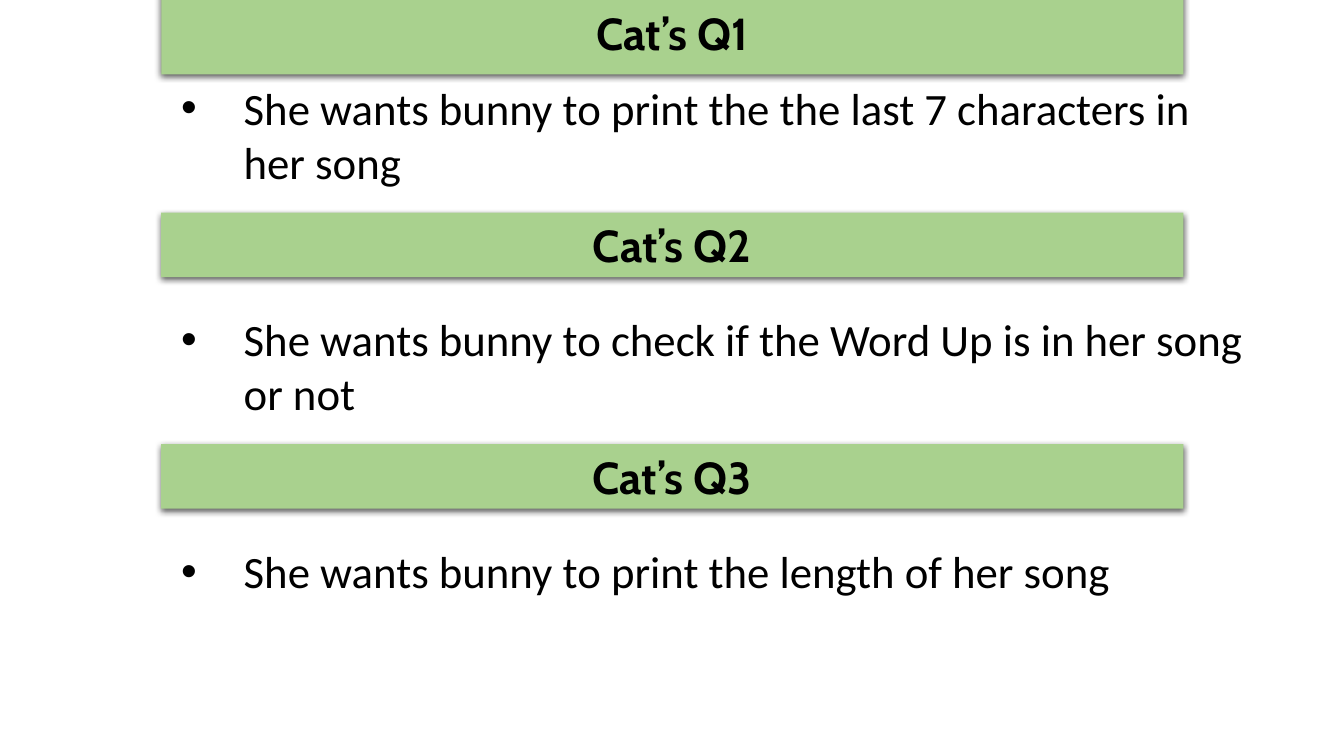
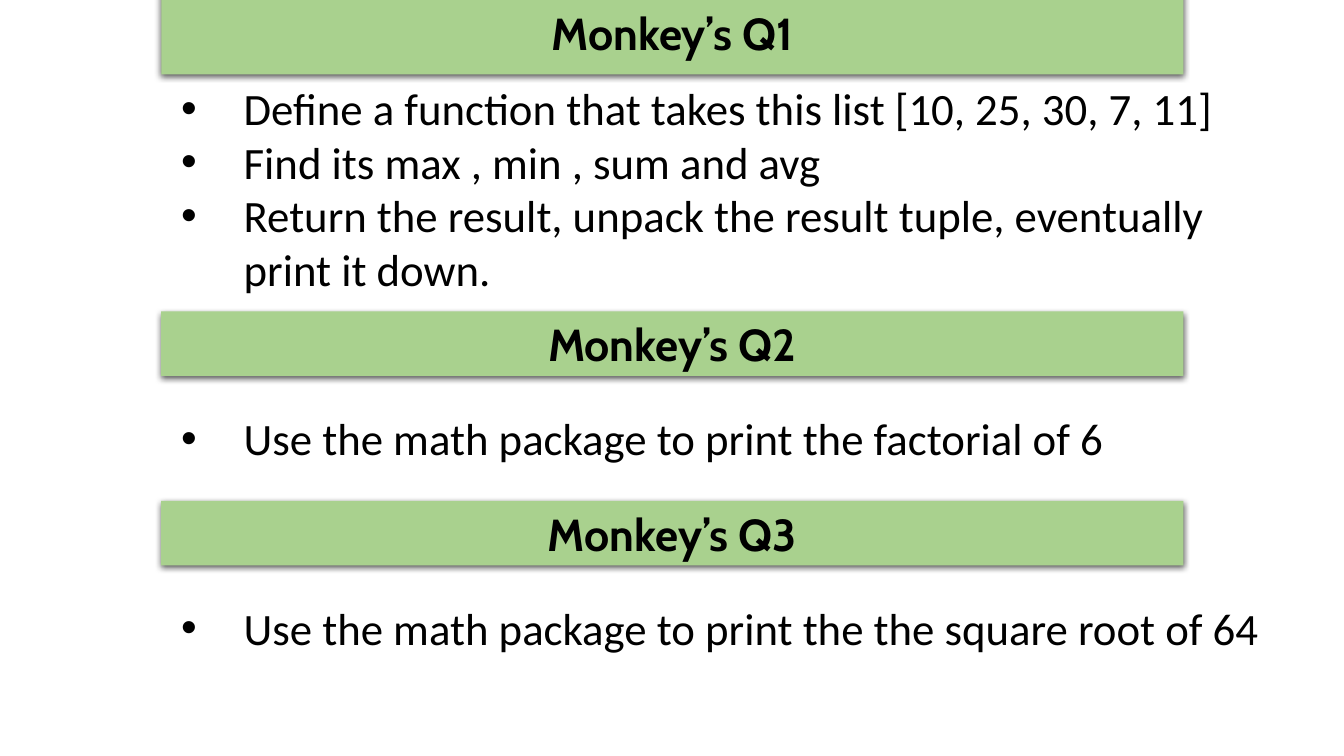
from lxml import etree
from pptx import Presentation
from pptx.dml.color import RGBColor
from pptx.enum.shapes import MSO_SHAPE
from pptx.enum.text import MSO_ANCHOR, MSO_AUTO_SIZE, PP_ALIGN
from pptx.oxml import parse_xml
from pptx.oxml.ns import nsdecls, qn
from pptx.util import Pt

BLACK = RGBColor(0, 0, 0)
GREEN = RGBColor(0xA9, 0xD1, 0x8E)
CENTER, LEFT = PP_ALIGN.CENTER, PP_ALIGN.LEFT
MIDDLE, TOP = MSO_ANCHOR.MIDDLE, MSO_ANCHOR.TOP
GROW = MSO_AUTO_SIZE.SHAPE_TO_FIT_TEXT
RECTANGLE = MSO_SHAPE.RECTANGLE
TITLE_ONLY = 5

BAND_LEFT, BAND_WIDTH, BAND_HEIGHT = 115.2, 730.1, 46.1
BODY_LEFT, BODY_WIDTH, LINE_HEIGHT = 51.8, 856.8, 39
TITLE_TO_BODY, BAND_TO_BODY = 54, 67.5
BULLET_MARGIN, BULLET_INDENT = Pt(115.2), Pt(-44.6)

SHADOW = f"""<a:outerShdw {nsdecls("a")} blurRad="{Pt(4.5)}" dist="{Pt(1.5)}"
 dir="5400000" algn="ctr" rotWithShape="0">
 <a:srgbClr val="{BLACK}"><a:alpha val="63000"/></a:srgbClr></a:outerShdw>"""

# Each question: top of its band, then its bullet points.
SLIDES = {
    "Cat": [
        (0, ["She wants bunny to print the the last 7 characters in her song"]),
        (151.9, ["She wants bunny to check if the Word Up is in her song or not"]),
        (317.3, ["She wants bunny to print the length of her song"]),
    ],
    "Monkey": [
        (0, ["Define a function that takes this list [10, 25, 30, 7, 11]",
             "Find its max , min , sum and avg",
             "Return the result, unpack the result tuple, eventually print it down."]),
        (222.5, ["Use the math package to print the factorial of 6"]),
        (357.8, ["Use the math package to print the the square root of 64"]),
    ],
}


def write_text(box, lines, font="Calibri", bold=False, align=LEFT,
               anchor=TOP, bullet=None):
    """Write one paragraph per line into the box, with optional bullets."""
    frame = box.text_frame
    frame.word_wrap = True
    frame.auto_size = GROW
    frame.vertical_anchor = anchor
    for index, line in enumerate(lines):
        para = frame.add_paragraph() if index else frame.paragraphs[0]
        para.alignment = align
        span = para.add_run()
        span.text = line
        span.font.name = font
        span.font.size = Pt(32)
        span.font.bold = bold
        span.font.color.rgb = BLACK
        if bullet:
            properties = para._p.get_or_add_pPr()
            properties.set("marL", str(BULLET_MARGIN))
            properties.set("indent", str(BULLET_INDENT))
            etree.SubElement(properties, qn("a:buFont")).set("typeface", "Arial")
            etree.SubElement(properties, qn("a:buChar")).set("char", bullet)


def style_band(band, top, heading):
    """Place a green heading band with its soft shadow and its text."""
    band.left, band.top = Pt(BAND_LEFT), Pt(top)
    band.width, band.height = Pt(BAND_WIDTH), Pt(BAND_HEIGHT)
    band.fill.solid()
    band.fill.fore_color.rgb = GREEN
    band.line.fill.background()
    band.shadow.inherit = False
    band._element.spPr.find(qn("a:effectLst")).append(parse_xml(SHADOW))
    write_text(band, [heading], font="Cabin", bold=True, align=CENTER, anchor=MIDDLE)


deck = Presentation()
deck.slide_width, deck.slide_height = Pt(960), Pt(540)

for animal, questions in SLIDES.items():
    page = deck.slides.add_slide(deck.slide_layouts[TITLE_ONLY])
    for number, (top, points) in enumerate(questions, start=1):
        if number == 1:
            band, body_offset = page.shapes.title, TITLE_TO_BODY
        else:
            band = page.shapes.add_shape(RECTANGLE, 0, 0, 0, 0)
            body_offset = BAND_TO_BODY
        style_band(band, top, f"{animal}’s Q{number}")

        line_count = sum(1 + (len(point) > 58) for point in points)
        body = page.shapes.add_textbox(
            Pt(BODY_LEFT), Pt(top + body_offset),
            Pt(BODY_WIDTH), Pt(line_count * LINE_HEIGHT + 7.2))
        write_text(body, points, bullet="•")

deck.save("out.pptx")
